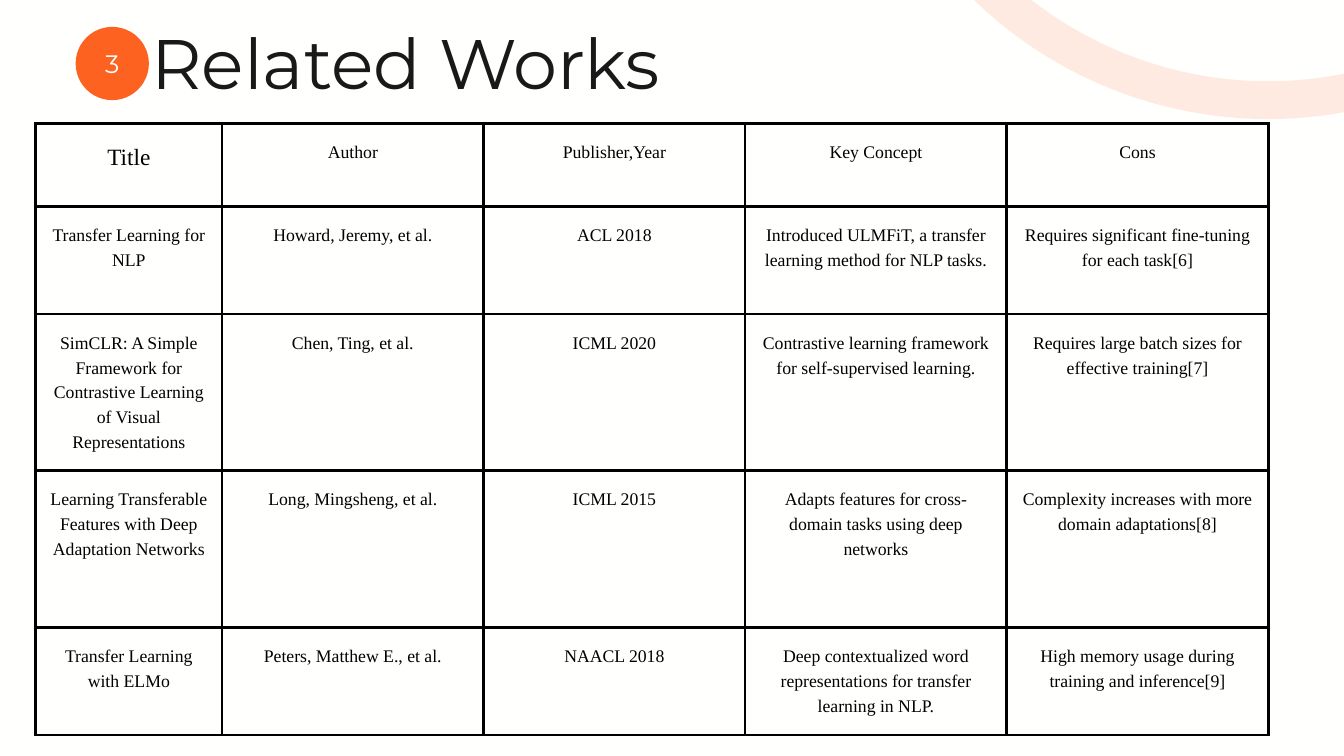
from lxml.etree import SubElement
from pptx import Presentation
from pptx.dml.color import RGBColor
from pptx.enum.shapes import MSO_SHAPE
from pptx.enum.text import MSO_ANCHOR, MSO_AUTO_SIZE, PP_ALIGN
from pptx.oxml.ns import qn
from pptx.util import Inches, Pt

COLUMNS, ROWS = 80, 45
TITLE_ONLY = 5

HEADINGS = ["Title", "Author", "Publisher,Year", "Key Concept", "Cons"]
WORKS = [
    ["Transfer Learning for NLP", "Howard, Jeremy, et al.", "ACL 2018",
     "Introduced ULMFiT, a transfer learning method for NLP tasks.",
     "Requires significant fine-tuning for each task[6]"],
    ["SimCLR: A Simple Framework for Contrastive Learning of Visual Representations",
     "Chen, Ting, et al.", "ICML 2020",
     "Contrastive learning framework for self-supervised learning.",
     "Requires large batch sizes for effective training[7]"],
    ["Learning Transferable Features with Deep Adaptation Networks",
     "Long, Mingsheng, et al.", "ICML 2015",
     "Adapts features for cross-domain tasks using deep networks",
     "Complexity increases with more domain adaptations[8]"],
    ["Transfer Learning with ELMo", "Peters, Matthew E., et al.", "NAACL 2018",
     "Deep contextualized word representations for transfer learning in NLP.",
     "High memory usage during training and inference[9]"],
]


def color(value):
    return RGBColor.from_string(value)


class SlideBuilder:
    paper, accent, ink, black, white = "FFFFFE", "FD6220", "191919", "000000", "FFFEFE"
    display, serif = "Montserrat", "Times New Roman"
    leading = 1.4

    def __init__(self, deck):
        self.column = deck.slide_width / COLUMNS
        self.row = deck.slide_height / ROWS
        self.page = deck.slides.add_slide(deck.slide_layouts[TITLE_ONLY])
        background = self.page.background.fill
        background.solid()
        background.fore_color.rgb = color(self.paper)

    def area(self, left, top, width, height):
        return (round(left * self.column), round(top * self.row),
                round(width * self.column), round(height * self.row))

    def fill_frame(self, frame, text, size, ink, align, inset, anchor):
        frame.word_wrap = True
        frame.vertical_anchor = anchor
        frame.margin_left = frame.margin_right = Inches(inset)
        frame.margin_top = frame.margin_bottom = Inches(inset)
        self.add_text(frame.paragraphs[0], text, size, self.display, ink, align)

    def add_text(self, para, text, size, font, ink, align):
        para.alignment = align
        para.line_spacing = Pt(size * self.leading)
        span = para.add_run()
        span.text = text
        span.font.size = Pt(size)
        span.font.name = font
        span.font.color.rgb = color(ink)

    def title(self, text, *place):
        box = self.page.shapes.title
        box.left, box.top, box.width, box.height = self.area(*place)
        box.text_frame.auto_size = MSO_AUTO_SIZE.NONE
        self.fill_frame(box.text_frame, text, 75, self.ink,
                        PP_ALIGN.JUSTIFY, 0, MSO_ANCHOR.TOP)

    def label(self, text, *place):
        box = self.page.shapes.add_textbox(*self.area(*place))
        self.fill_frame(box.text_frame, text, 27, self.white,
                        PP_ALIGN.CENTER, 0.06, MSO_ANCHOR.MIDDLE)

    def circle(self, left, top, size):
        shape = self.page.shapes.add_shape(
            MSO_SHAPE.OVAL, *self.area(left, top, size, size))
        shape.shadow.inherit = False
        return shape

    def disc(self, left, top, size):
        shape = self.circle(left, top, size)
        shape.fill.solid()
        shape.fill.fore_color.rgb = color(self.accent)
        shape.line.fill.background()

    def ring(self, left, top, size, weight, opacity):
        shape = self.circle(left, top, size)
        shape.fill.background()
        shape.line.width = Pt(weight)
        shape.line.color.rgb = color(self.accent)
        tint = shape.element.spPr.find(".//" + qn("a:srgbClr"))
        SubElement(tint, qn("a:alpha"), val=str(opacity * 1000))

    def border(self, cell, weight):
        properties = cell._tc.get_or_add_tcPr()
        for side in ("lnL", "lnR", "lnT", "lnB"):
            line = SubElement(properties, qn(f"a:{side}"), w=str(Pt(weight)))
            fill = SubElement(line, qn("a:solidFill"))
            SubElement(fill, qn("a:srgbClr"), val=self.black)

    def table(self, records, left, top, widths, heights):
        place = self.area(left, top, sum(widths), sum(heights))
        table = self.page.shapes.add_table(len(heights), len(widths), *place).table
        table.first_row = table.horz_banding = False
        for column, width in zip(table.columns, widths):
            column.width = round(width * self.column)
        for row, height in zip(table.rows, heights):
            row.height = round(height * self.row)
        for r, record in enumerate(records):
            for c, text in enumerate(record):
                cell = table.cell(r, c)
                self.border(cell, 3)
                cell.fill.background()
                cell.vertical_anchor = MSO_ANCHOR.TOP
                cell.margin_left = cell.margin_right = Inches(0.21)
                cell.margin_top = cell.margin_bottom = Inches(0.21)
                self.add_text(cell.text_frame.paragraphs[0], text,
                              25 if r == c == 0 else 19,
                              self.serif, self.black, PP_ALIGN.CENTER)


def main():
    deck = Presentation()
    deck.slide_width, deck.slide_height = Inches(20), Inches(11.25)
    slide = SlideBuilder(deck)
    slide.title("Related Works", 9, 0.32, 42.44, 5.64)
    slide.disc(4.5, 1.6, 4.36)
    slide.label("3", 4.92, 1.72, 3.52, 3.84)
    slide.ring(51.44, -42.12, 48.08, weight=40.5, opacity=12)
    slide.table([HEADINGS, *WORKS], 2.12, 7.36,
                widths=[11.1] + [15.57] * 4,
                heights=[4.94, 6.4, 9.32, 9.32, 6.4])
    deck.save("out.pptx")


if __name__ == "__main__":
    main()
